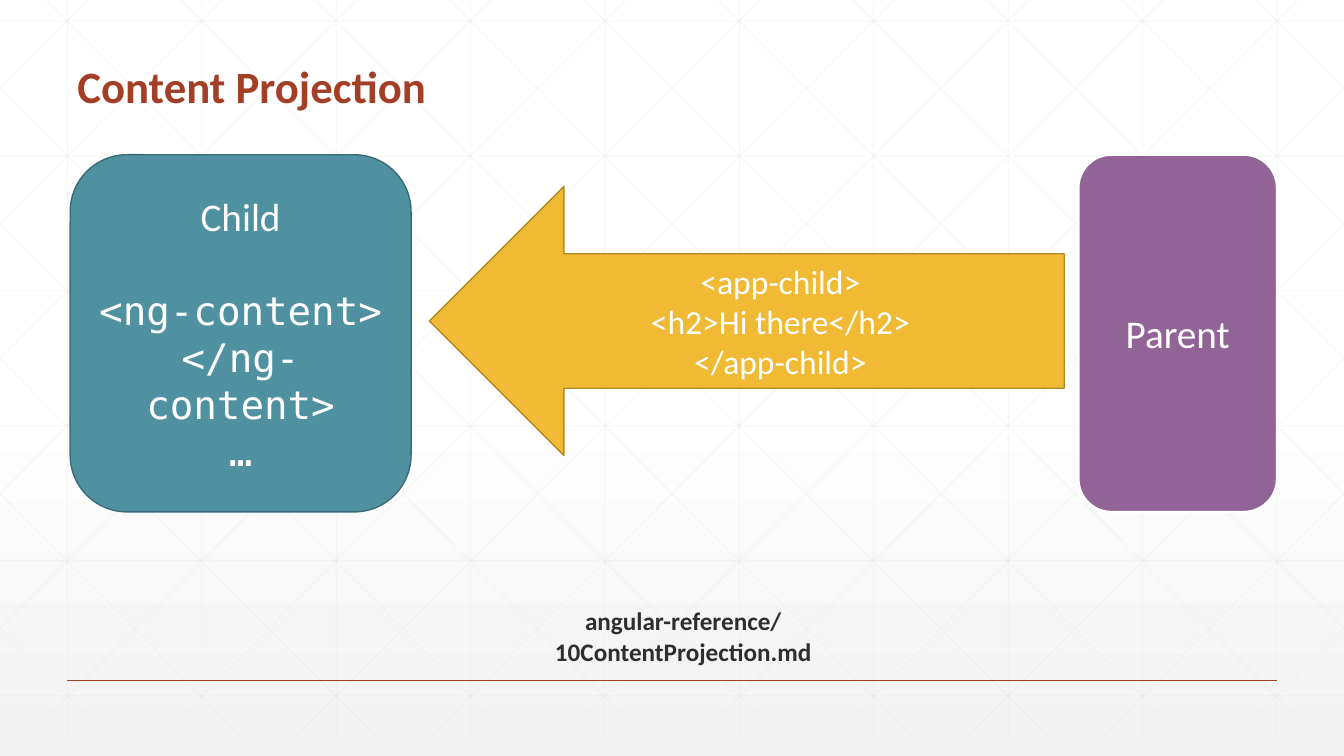
from typing import NamedTuple

import pptx
import pptx.dml.color
import pptx.enum.shapes
import pptx.enum.text
import pptx.oxml
import pptx.oxml.ns
import pptx.util
from pptx.dml.color import RGBColor
from pptx.util import Cm, Pt

Kind = pptx.enum.shapes.MSO_SHAPE
Align = pptx.enum.text.PP_ALIGN
Anchor = pptx.enum.text.MSO_ANCHOR

WHITE = RGBColor(0xFF, 0xFF, 0xFF)
SMOKE = RGBColor(0xF2, 0xF2, 0xF2)
GREY = RGBColor(0xD9, 0xD9, 0xD9)
RUST = RGBColor(0xA4, 0x3F, 0x27)
GOLD = RGBColor(0xF0, 0xBA, 0x34)
BRONZE = RGBColor(0xB2, 0x8A, 0x26)
TEAL = RGBColor(0x4F, 0x91, 0xA1)
PINE = RGBColor(0x3A, 0x6B, 0x77)
PLUM = RGBColor(0x92, 0x63, 0x97)
INK = RGBColor(0x2D, 0x2E, 0x2D)

SANS = "Calibri"
MONO = "DejaVu Sans Mono"

# Slide and grid measures in centimetres
WIDTH, HEIGHT = 33.87, 19.05
STEP = WIDTH / 10
FLOOR = 18.52
SLOPE = 0.995


class Row(NamedTuple):
    text: str
    size: int
    font: str = SANS
    after: int = 0


class Block(NamedTuple):
    kind: Kind
    left: float
    top: float
    width: float
    height: float
    fill: RGBColor
    edge: RGBColor
    weight: float
    rows: list[Row]


class Label(NamedTuple):
    left: float
    top: float
    width: float
    height: float
    row: Row
    color: RGBColor
    align: Align
    anchor: Anchor
    leading: float


BLOCKS = [
    Block(Kind.LEFT_ARROW, 10.82, 4.7, 16, 6.78, GOLD, BRONZE, 1, [
        Row("<app-child>", 24),
        Row("<h2>Hi there</h2>", 24),
        Row("</app-child>", 24),
    ]),
    Block(Kind.ROUNDED_RECTANGLE, 1.77, 3.9, 8.59, 9, TEAL, PINE, 1, [
        Row("Child", 28, after=34),
        Row("<ng-content>", 28, MONO),
        Row("</ng-content>", 28, MONO),
        Row("…", 28, MONO),
    ]),
    Block(Kind.ROUNDED_RECTANGLE, 27.18, 3.9, 5, 9, PLUM, WHITE, 1.5, [
        Row("Parent", 28),
    ]),
]

LABELS = [
    Label(1.7, 1.4, 30.5, 1.57, Row("Content Projection", 32),
          RUST, Align.LEFT, Anchor.BOTTOM, 0.9),
    Label(12.09, 15.14, 10.26, 1.8,
          Row("angular-reference/10ContentProjection.md", 18),
          INK, Align.CENTER, Anchor.TOP, 1),
]


def write(frame, rows: list[Row], color: RGBColor, align: Align,
          bold: bool = False) -> None:
    frame.word_wrap = True
    frame.text = "\n".join(row.text for row in rows)
    for para, row in zip(frame.paragraphs, rows):
        para.alignment = align
        para.space_after = Pt(row.after)
        font = para.runs[0].font
        font.name, font.size, font.bold = row.font, Pt(row.size), bold
        font.color.rgb = color


def rule(slide, x: float, y: float, end: float, base: float,
         color: RGBColor, weight: float, alpha: int = 100) -> None:
    """Draw a straight line with the given opacity in percent."""
    line = slide.shapes.add_connector(
        pptx.enum.shapes.MSO_CONNECTOR.STRAIGHT,
        Cm(x), Cm(y), Cm(end), Cm(base))
    line.line.color.rgb = color
    line.line.width = Pt(weight)
    props = line._element.spPr
    if alpha < 100:
        tint = props.find(".//" + pptx.oxml.ns.qn("a:srgbClr"))
        tint.append(pptx.oxml.parse_xml(
            f'<a:alpha {pptx.oxml.ns.nsdecls("a")} val="{alpha * 1000}"/>'))
    props.append(pptx.oxml.parse_xml(
        f'<a:effectLst {pptx.oxml.ns.nsdecls("a")}/>'))


def mesh(slide) -> None:
    """Draw the pale grid with diagonals, cut at the slide edges."""
    lines = [(1.7 + STEP * i, 0, 1.7 + STEP * i, FLOOR) for i in range(10)]
    lines += [(0, 0.53 + 3.4 * i, WIDTH, 0.53 + 3.4 * i) for i in range(6)]
    for i in range(-5, 10):
        start = 1.17 + STEP * i
        x, end = max(0, start), min(WIDTH, start + SLOPE * FLOOR)
        y, base = (x - start) / SLOPE, (end - start) / SLOPE
        lines.append((x, y, end, base))
        lines.append((WIDTH - x, y, WIDTH - end, base))
    for line in lines:
        rule(slide, *line, GREY, 0.5, 25)


def shade(slide) -> None:
    """Fade the background from white to light grey."""
    fill = slide.background.fill
    fill.gradient()
    fill.gradient_angle = 270
    for stop, place, color in zip(fill.gradient_stops, (0.53, 1),
                                  (WHITE, SMOKE)):
        stop.position = place
        stop.color.rgb = color


def draw(slide, block: Block) -> None:
    shape = slide.shapes.add_shape(
        block.kind, Cm(block.left), Cm(block.top),
        Cm(block.width), Cm(block.height))
    shape.shadow.inherit = False
    shape.fill.solid()
    shape.fill.fore_color.rgb = block.fill
    shape.line.color.rgb = block.edge
    shape.line.width = Pt(block.weight)
    shape.text_frame.vertical_anchor = Anchor.MIDDLE
    write(shape.text_frame, block.rows, WHITE, Align.CENTER)


def caption(slide, label: Label) -> None:
    box = slide.shapes.add_textbox(
        Cm(label.left), Cm(label.top), Cm(label.width), Cm(label.height))
    frame = box.text_frame
    frame.vertical_anchor = label.anchor
    write(frame, [label.row], label.color, label.align, bold=True)
    frame.paragraphs[0].line_spacing = label.leading


def main() -> None:
    deck = pptx.Presentation()
    deck.slide_width, deck.slide_height = Cm(WIDTH), Cm(HEIGHT)
    slide = deck.slides.add_slide(deck.slide_layouts[6])
    shade(slide)
    mesh(slide)
    rule(slide, 1.7, 17.15, 32.17, 17.15, RUST, 1)
    for block in BLOCKS:
        draw(slide, block)
    for label in LABELS:
        caption(slide, label)
    deck.save("out.pptx")


if __name__ == "__main__":
    main()
